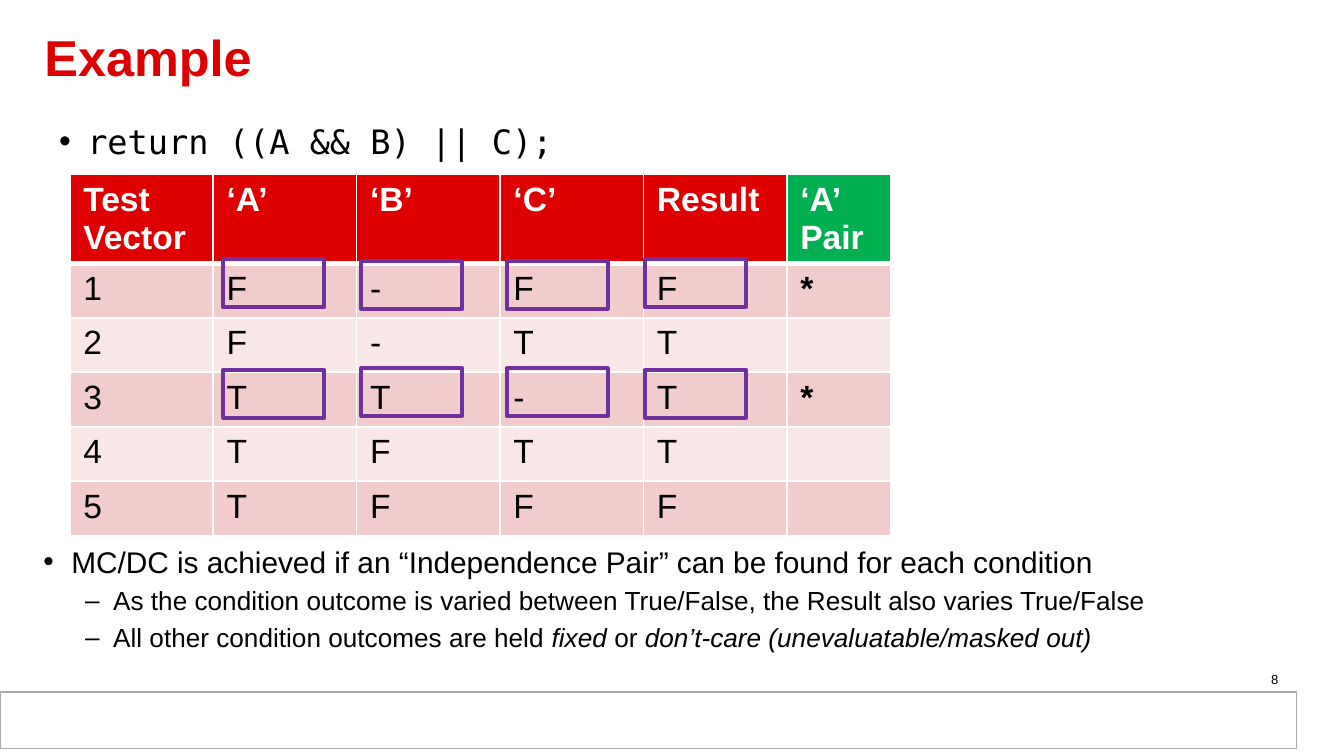
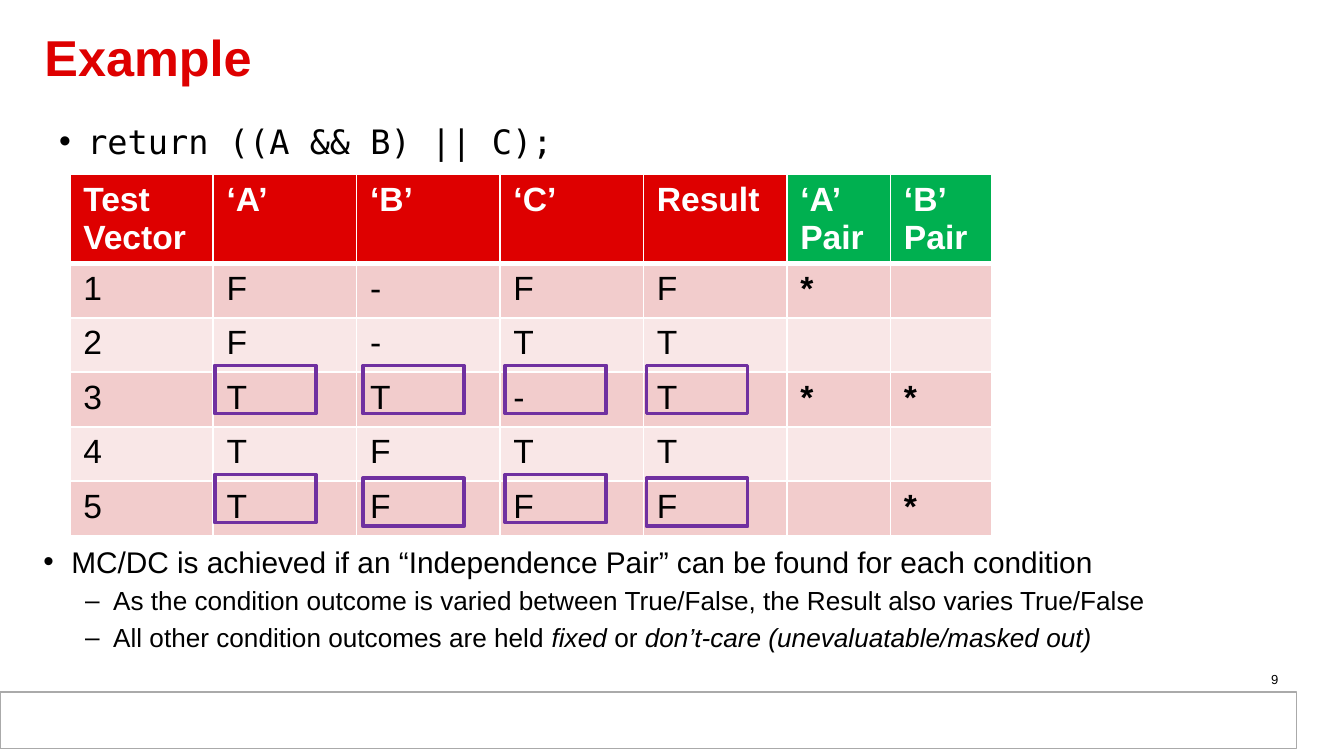
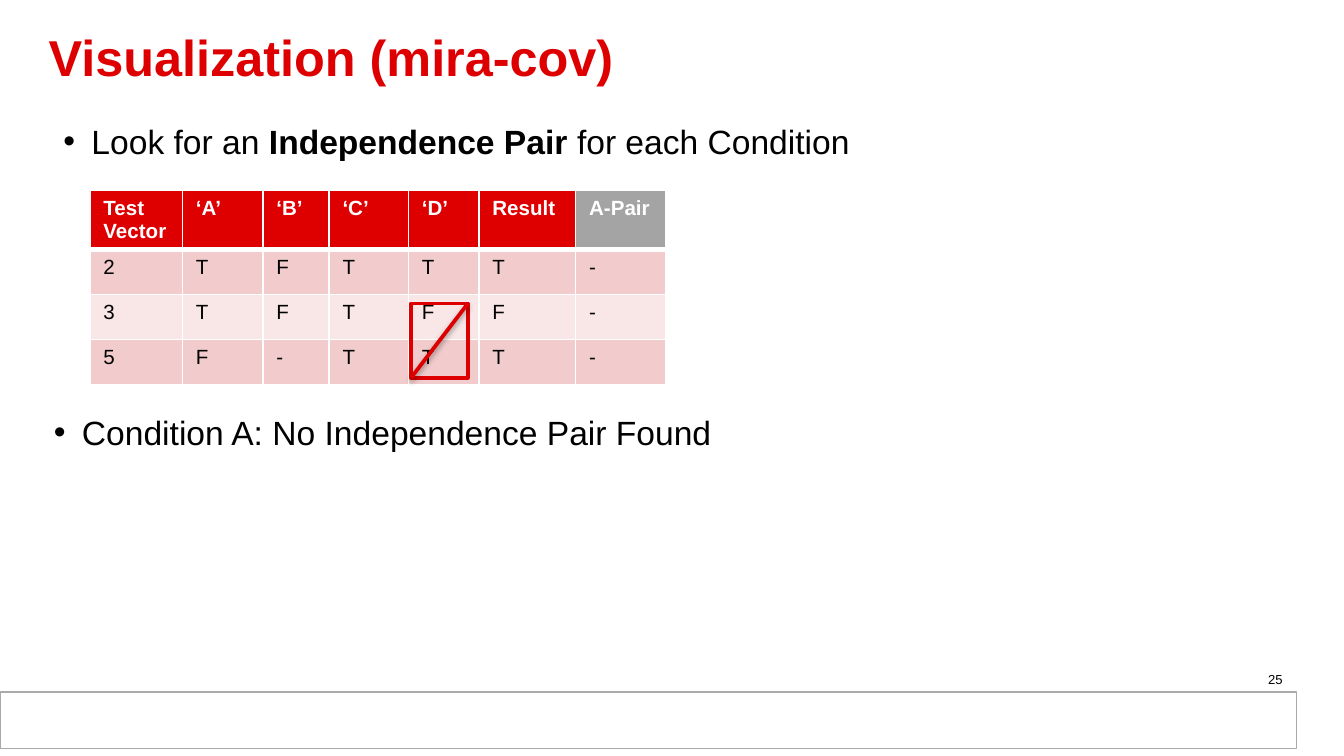
from lxml.etree import SubElement
from pptx import Presentation
from pptx.dml.color import RGBColor
from pptx.enum.shapes import MSO_CONNECTOR, MSO_SHAPE
from pptx.enum.text import MSO_ANCHOR, MSO_AUTO_SIZE, PP_ALIGN
from pptx.oxml import parse_xml
from pptx.oxml.ns import nsdecls, qn
from pptx.util import Cm, Pt

COLORS = {
    "red": "DE0000", "green": "00B050", "gray": "A4A4A4", "purple": "7030A0",
    "white": "FFFFFF", "black": "000000", "rule": "AAAAAA",
    "row_dark": "F2CCCC", "row_light": "F9E7E7",
}
SANS, MONO = "Arial", "DejaVu Sans Mono"

# Bullets are (level, size, font, runs); a run is (text, style)
CODE = [(0, 18, MONO, [("return ((A && B) || C);", "")])]
MCDC = [
    (0, 16, SANS, [("MC/DC is achieved if an “Independence Pair” can be found "
                    "for each condition", "")]),
    (1, 14, SANS, [("As the condition outcome is varied between True/False, "
                    "the Result also varies True/False", "")]),
    (1, 14, SANS, [("All other condition outcomes are held ", ""), ("fixed ", "i"),
                    ("or ", ""), ("don’t-care (unevaluatable/masked out)", "i")]),
]
LOOK = [(0, 18, SANS, [("Look for an ", ""), ("Independence Pair", "b"),
                       (" for each Condition", "")])]
NO_PAIR = [(0, 18, SANS, [("Condition A: No Independence Pair Found", "")])]
BULLETS = [("•", 0.53, 6.7), ("–", 1.32, 2.8)]  # sign, indent, space before

HEADER = ["Test Vector", "‘A’", "‘B’", "‘C’", "Result"]
VECTORS = ["1F-FF", "2F-TT", "3TT-T", "4TFTT", "5TFFF"]
PAIRS = [("‘A’ Pair", "13", 1.96), ("‘B’ Pair", "35", 1.91)]  # vectors, width

EXAMPLES = [
    {"number": "8", "pairs": 1, "mark_x": [4.22, 6.83, 9.58, 12.19],
     "mark_y": [[4.9, 4.93, 4.93, 4.9], [6.99, 6.96, 6.96, 6.99]]},
    {"number": "9", "pairs": 2, "mark_x": [4.06, 6.86, 9.55, 12.22],
     "mark_y": [[6.91] * 4, [8.97, 9.04, 8.97, 9.04]]},
]
COVERAGE = [
    ["Test Vector", "‘A’", "‘B’", "‘C’", "‘D’", "Result", "A-Pair"],
    *map(list, ["2TFTTT-", "3TFTFF-", "5F-TTT-"]),
]
COVERAGE_COLS = [1.75, 1.52, 1.25, 1.5, 1.33, 1.83, 1.7]


def rgb(name):
    return RGBColor.from_string(COLORS[name])


def add_run(p, text, size, color="black", font=SANS, style=""):
    r = p.add_run()
    r.text = text
    r.font.size, r.font.name = Pt(size), font
    r.font.bold, r.font.italic = "b" in style, "i" in style
    r.font.color.rgb = rgb(color)


def set_frame(tf):
    tf.word_wrap = True
    tf.auto_size = MSO_AUTO_SIZE.NONE
    tf.margin_left = tf.margin_right = Cm(0.2)
    tf.margin_top = tf.margin_bottom = Cm(0.1)


def add_text_box(slide, x, y, w, h):
    tf = slide.shapes.add_textbox(Cm(x), Cm(y), Cm(w), Cm(h)).text_frame
    set_frame(tf)
    return tf


def add_bullets(slide, x, y, h, bullets):
    tf = add_text_box(slide, x, y, 23.52, h)
    for i, (level, size, font, runs) in enumerate(bullets):
        sign, indent, before = BULLETS[level]
        p = tf.paragraphs[0] if i == 0 else tf.add_paragraph()
        p.level = level
        p.space_before = Pt(before)
        pPr = p._p.get_or_add_pPr()
        pPr.set("marL", str(Cm(indent)))
        pPr.set("indent", str(-Cm(0.53)))
        SubElement(pPr, qn("a:buFont")).set("typeface", SANS)
        SubElement(pPr, qn("a:buChar")).set("char", sign)
        for text, style in runs:
            add_run(p, text, size, font=font, style=style)


def add_box(slide, x, y, w, h, fill=None, line=None, width=2):
    sp = slide.shapes.add_shape(MSO_SHAPE.RECTANGLE, Cm(x), Cm(y), Cm(w), Cm(h))
    sp.shadow.inherit = False
    if fill:
        sp.fill.solid()
        sp.fill.fore_color.rgb = rgb(fill)
    else:
        sp.fill.background()
    if line:
        sp.line.color.rgb = rgb(line)
        sp.line.width = Pt(width)
    else:
        sp.line.fill.background()
    return sp


def add_footer_band(slide, layout):
    """Draw the band on a slide, then move it to the layout all slides share."""
    parts = [add_box(slide, 0.13, 13.18, 24.38, 0.97, "white"),
             add_box(slide, 0, 13.08, 24.51, 1.07, "white", "rule", 0.75)]
    for shape_id, sp in enumerate(parts, 101):
        sp.element.nvSpPr.cNvPr.set("id", str(shape_id))
        layout.shapes.element.append(sp.element)


def add_slide(prs, title, number, dx=0):
    slide = prs.slides.add_slide(prs.slide_layouts[5])
    sp = slide.shapes.title
    sp.left, sp.top, sp.width, sp.height = Cm(0.64 + dx), Cm(0.3), Cm(23.5), Cm(1.7)
    tf = sp.text_frame
    set_frame(tf)
    tf.vertical_anchor = MSO_ANCHOR.MIDDLE
    p = tf.paragraphs[0]
    p.alignment, p.line_spacing = PP_ALIGN.LEFT, 0.85
    add_run(p, title, 27, "red", style="b")

    p = add_text_box(slide, 18.44 + dx, 12.6, 5.92, 0.43).paragraphs[0]
    p.alignment = PP_ALIGN.RIGHT
    add_run(p, number, 7)
    return slide


def set_borders(cell, top, bottom):
    tcPr = cell._tc.get_or_add_tcPr()
    for i, (side, width) in enumerate(zip("LRTB", (1, 1, top, bottom))):
        tcPr.insert(i, parse_xml(
            f'<a:ln{side} {nsdecls("a")} w="{Pt(width)}"><a:solidFill>'
            f'<a:srgbClr val="{COLORS["white"]}"/></a:solidFill></a:ln{side}>'))


def add_truth_table(slide, x, y, cols, heights, rows, size, pair_start, pair_color):
    """Columns from pair_start on have pair_color in the header."""
    total = heights[0] + heights[1] * (len(rows) - 1)
    table = slide.shapes.add_table(len(rows), len(cols), Cm(x), Cm(y),
                                   Cm(sum(cols)), Cm(total)).table
    table.horz_banding = False
    for col, width in zip(table.columns, cols):
        col.width = Cm(width)
    for i, row in enumerate(rows):
        table.rows[i].height = Cm(heights[min(i, 1)])
        for j, text in enumerate(row):
            cell = table.cell(i, j)
            if i == 0:
                fill = pair_color if j >= pair_start else "red"
            else:
                fill = "row_dark" if i % 2 else "row_light"
            cell.fill.solid()
            cell.fill.fore_color.rgb = rgb(fill)
            set_borders(cell, 3 if i == 1 else 1, 3 if i == 0 else 1)
            if text:
                add_run(cell.text_frame.paragraphs[0], text, size,
                        "black" if i else "white",
                        style="b" if i == 0 or text == "*" else "")


def add_example(prs, number, pairs, mark_x, mark_y):
    slide = add_slide(prs, "Example", number)
    add_bullets(slide, 0.92, 2.18, 1.14, CODE)
    shown = PAIRS[:pairs]
    rows = [HEADER + [name for name, _, _ in shown]]
    for vector in VECTORS:
        rows.append([*vector] + ["*" if vector[0] in members else ""
                                 for _, members, _ in shown])
    cols = [2.71] * len(HEADER) + [width for _, _, width in shown]
    add_truth_table(slide, 1.32, 3.3, cols, (1.5, 1.03), rows, 18,
                    len(HEADER), "green")
    add_bullets(slide, 0.62, 10.18, 2.84, MCDC)
    for tops in mark_y:
        for x, y in zip(mark_x, tops):
            add_box(slide, x, y, 1.91, 0.91, line="purple")


def add_visualization(prs):
    slide = add_slide(prs, "Visualization (mira-cov)", "25", dx=0.08)
    add_bullets(slide, 1, 2.18, 2.72, LOOK)
    add_truth_table(slide, 1.7, 3.6, COVERAGE_COLS, (1.1, 0.85), COVERAGE, 11,
                    len(COVERAGE_COLS) - 1, "gray")
    mark = add_box(slide, 7.77, 5.74, 1.07, 1.4, line="red")
    slash = slide.shapes.add_connector(
        MSO_CONNECTOR.STRAIGHT, mark.left + mark.width, mark.top,
        mark.left, mark.top + mark.height)
    slash.line.color.rgb = rgb("red")
    slash.line.width = Pt(2)
    slash.element.spPr.append(parse_xml(
        f'<a:effectLst {nsdecls("a")}><a:outerShdw blurRad="{Pt(3.1)}" '
        f'dist="{Pt(1.6)}" dir="5400000" rotWithShape="0">'
        f'<a:srgbClr val="{COLORS["black"]}"><a:alpha val="38000"/></a:srgbClr>'
        '</a:outerShdw></a:effectLst>'))
    add_bullets(slide, 0.82, 7.69, 2.72, NO_PAIR)


def main():
    prs = Presentation()
    prs.slide_width, prs.slide_height = Cm(25.4), Cm(14.29)
    for example in EXAMPLES:
        add_example(prs, **example)
    add_visualization(prs)
    add_footer_band(prs.slides[0], prs.slide_layouts[5])
    prs.save("out.pptx")


if __name__ == "__main__":
    main()
